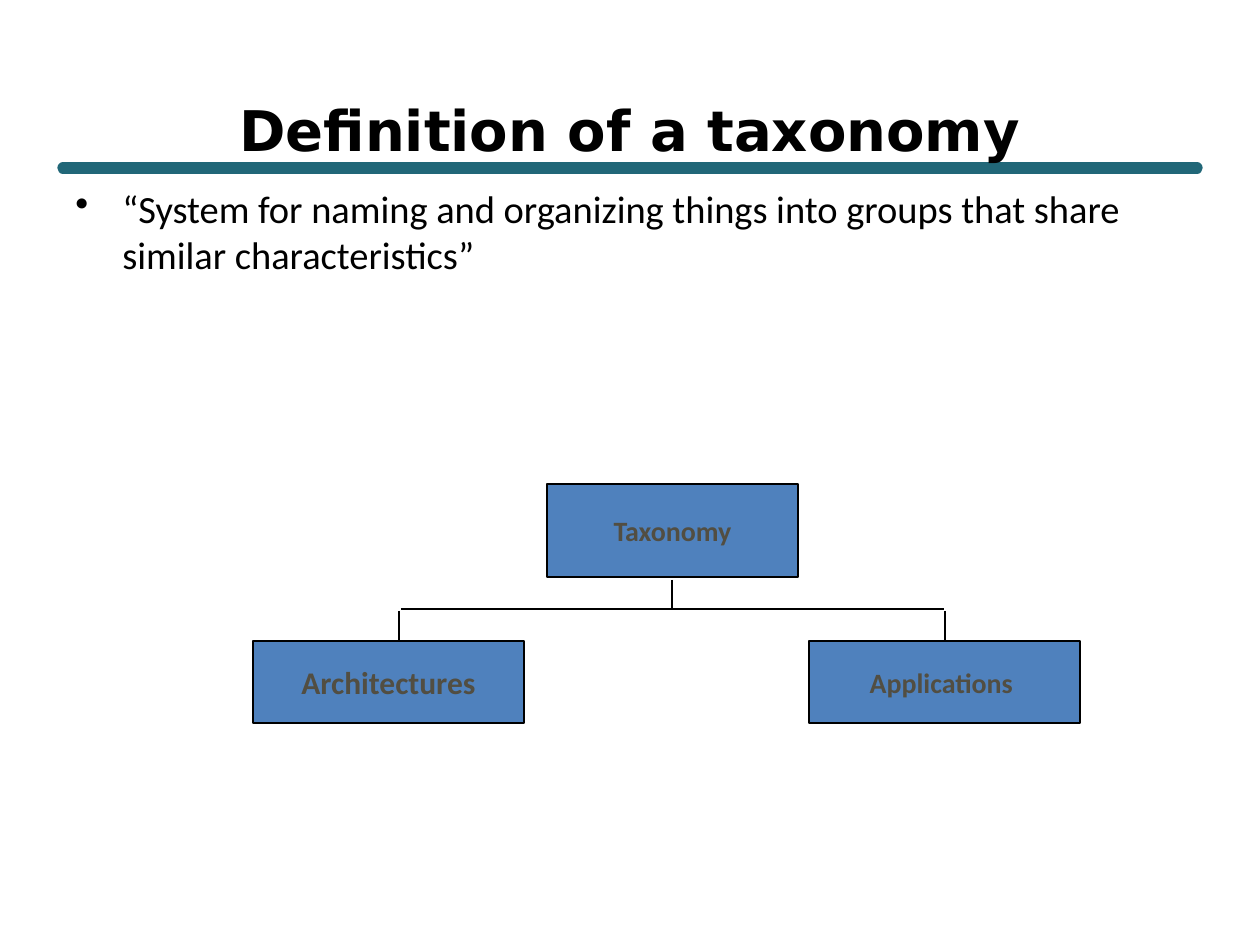
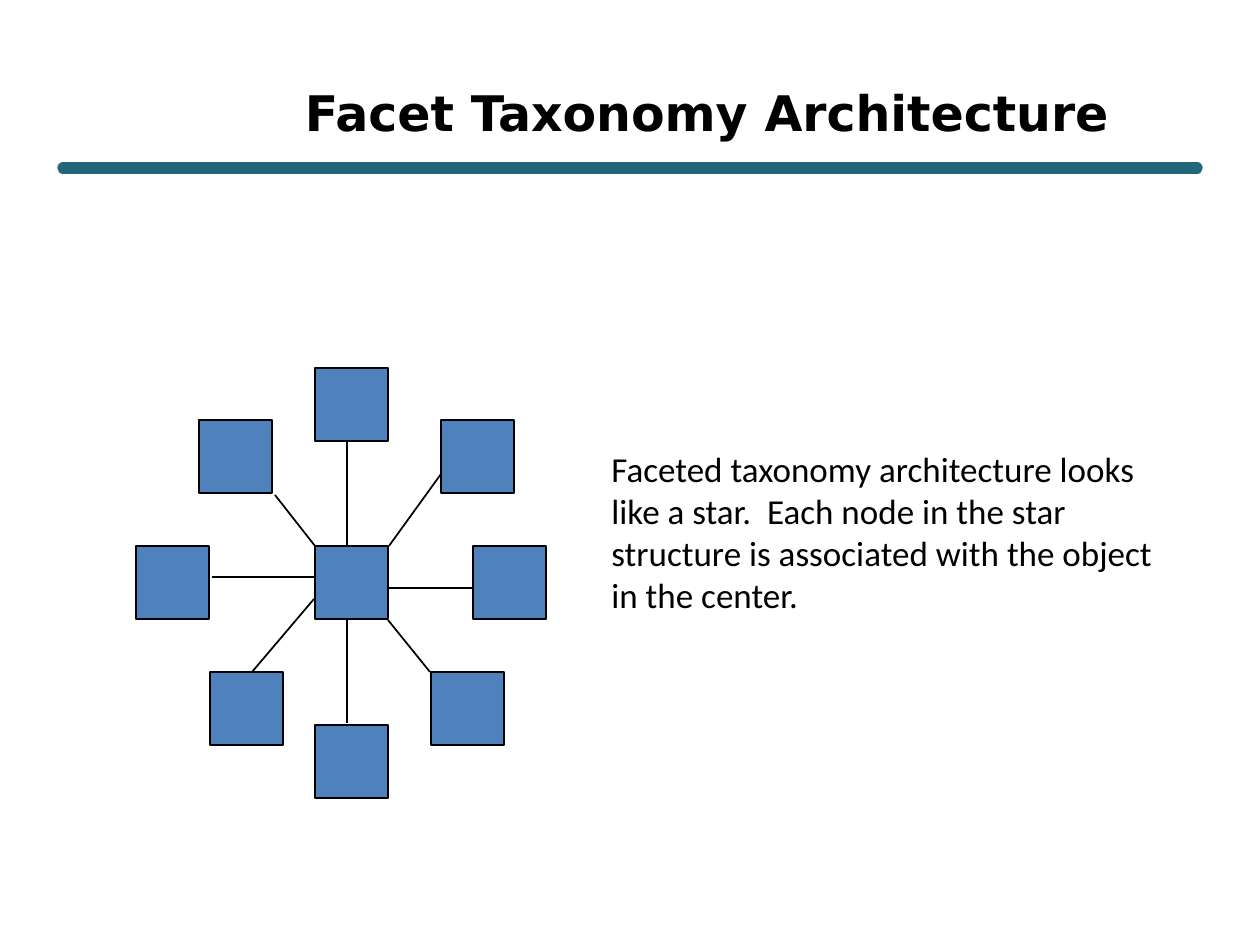
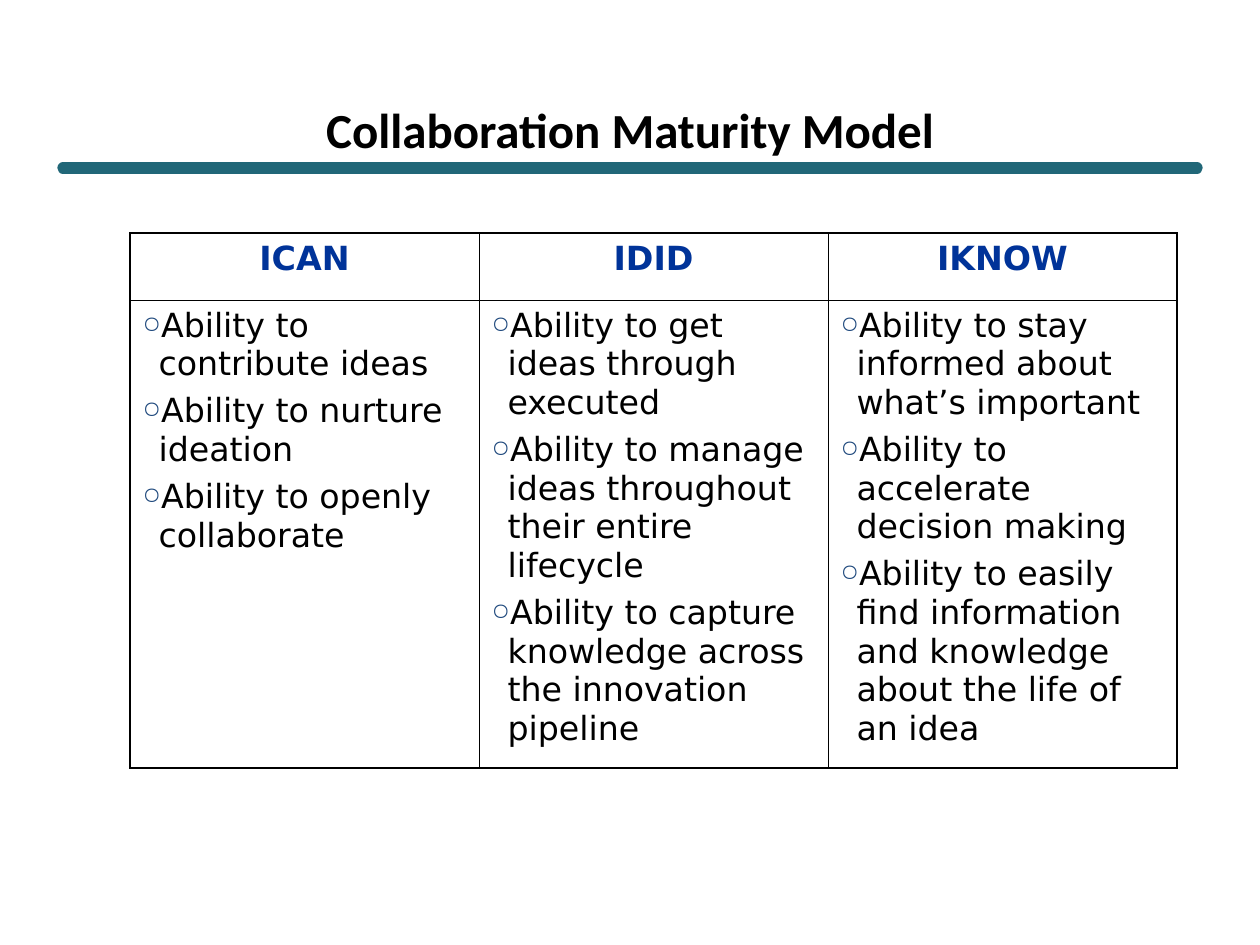
from dataclasses import dataclass
from typing import NamedTuple

from lxml.etree import SubElement
from pptx import Presentation
from pptx.dml.color import RGBColor
from pptx.enum.shapes import MSO_CONNECTOR as Conn, MSO_SHAPE as Shape
from pptx.enum.text import MSO_ANCHOR as Anchor, PP_ALIGN as Align
from pptx.oxml.ns import qn
from pptx.util import Emu, Pt

# Shared look
EMU_PER_PX = 914400 / 126
WIDTH, HEIGHT = 1260, 945
SANS, BODY = "DejaVu Sans", "Calibri"
BLACK, RULE, BOX_FILL, BOX_TEXT = "000000", "216778", "4F81BD", "524E42"
HEADING, RING = "003399", "1F497D"
THICK, THIN = 1.08, 0.45


class Rect(NamedTuple):
    x: int
    y: int
    w: int
    h: int


class Link(NamedTuple):
    x1: int
    y1: int
    x2: int
    y2: int


@dataclass
class Style:
    size: float
    font: str = BODY
    color: str = BLACK
    bold: bool = False
    align: Align = Align.LEFT


@dataclass
class Bullet:
    char: str
    color: str
    indent: int
    percent: int = 100


@dataclass
class TreeBox:
    label: str
    rect: Rect
    size: int


@dataclass
class StarNode:
    x: int
    y: int
    link: Link


@dataclass
class Column:
    heading: str
    items: list[str]


def px(n: float) -> Emu:
    return Emu(round(n * EMU_PER_PX))


def rgb(color: str) -> RGBColor:
    return RGBColor.from_string(color)


# Text
def add_bullet(p, bullet: Bullet) -> None:
    pPr = p._p.get_or_add_pPr()
    pPr.set("marL", str(px(bullet.indent)))
    pPr.set("indent", str(-px(bullet.indent)))
    SubElement(SubElement(pPr, qn("a:buClr")), qn("a:srgbClr"), val=bullet.color)
    SubElement(pPr, qn("a:buSzPct"), val=str(bullet.percent * 1000))
    SubElement(pPr, qn("a:buChar"), char=bullet.char)


def write(tf, text: str, style: Style, bullet: Bullet | None = None, gap: float = 0) -> None:
    tf.text = text
    for i, p in enumerate(tf.paragraphs):
        if bullet:
            add_bullet(p, bullet)
        p.alignment = style.align
        if i and gap:
            p.space_before = Pt(gap)
        for r in p.runs:
            r.font.name, r.font.size, r.font.bold = style.font, Pt(style.size), style.bold
            r.font.color.rgb = rgb(style.color)


def add_text(s, rect: Rect, text: str, style: Style, bullet: Bullet | None = None,
             anchor: Anchor = Anchor.TOP) -> None:
    tf = s.shapes.add_textbox(*map(px, rect)).text_frame
    tf.word_wrap = True
    tf.vertical_anchor = anchor
    write(tf, text, style, bullet)


# Shapes
def add_line(s, link: Link, color: str = BLACK, width: float = 1, cap: str = "flat") -> None:
    line = s.shapes.add_connector(Conn.STRAIGHT, *map(px, link))
    line.line.color.rgb = rgb(color)
    line.line.width = Pt(width)
    spPr = line._element.spPr
    spPr.find(qn("a:ln")).set("cap", cap)
    SubElement(spPr, qn("a:effectLst"))


def add_box(s, rect: Rect, label: str = "", size: int = 16) -> None:
    sp = s.shapes.add_shape(Shape.RECTANGLE, *map(px, rect))
    sp.shadow.inherit = False
    sp.fill.solid()
    sp.fill.fore_color.rgb = rgb(BOX_FILL)
    sp.line.color.rgb = rgb(BLACK)
    sp.line.width = Pt(1)
    if label:
        tf = sp.text_frame
        tf.word_wrap = False
        tf.vertical_anchor = Anchor.MIDDLE
        write(tf, label, Style(size, color=BOX_TEXT, bold=True, align=Align.CENTER))


def set_borders(cell, widths: dict[str, float]) -> None:
    tcPr = cell._tc.get_or_add_tcPr()
    for side in "LRTB":
        ln = SubElement(tcPr, qn(f"a:ln{side}"), w=str(Pt(widths[side])))
        SubElement(SubElement(ln, qn("a:solidFill")), qn("a:srgbClr"), val=BLACK)
    cell.fill.background()


def new_slide(prs, title: str, rect: Rect, size: int, font: str = SANS):
    s = prs.slides.add_slide(prs.slide_layouts[6])
    add_line(s, Link(63, 168, 1197, 168), RULE, 6.5, "rnd")
    add_text(s, rect, title, Style(size, font, bold=True, align=Align.CENTER),
             anchor=Anchor.MIDDLE)
    return s


# Slide contents
TITLE = Rect(63, 105, 1134, 48)
DEFINITION = ("“System for naming and organizing things into groups "
              "that share similar characteristics”")
TREE = [
    TreeBox("Taxonomy", Rect(547, 484, 251, 93), 16),
    TreeBox("Architectures", Rect(253, 641, 271, 82), 18),
    TreeBox("Applications ", Rect(809, 641, 271, 82), 16),
]
TREE_LINKS = [
    Link(672, 580, 672, 609),
    Link(401, 609, 944, 609),
    Link(399, 611, 399, 640),
    Link(945, 611, 945, 640),
]

NODE = 73
CENTER = (315, 546)
STAR = [
    StarNode(315, 368, Link(347, 442, 347, 546)),
    StarNode(441, 420, Link(441, 474, 389, 546)),
    StarNode(473, 546, Link(473, 588, 389, 588)),
    StarNode(431, 672, Link(430, 672, 388, 620)),
    StarNode(315, 725, Link(347, 723, 347, 620)),
    StarNode(210, 672, Link(252, 672, 314, 599)),
    StarNode(136, 546, Link(212, 577, 315, 577)),
    StarNode(199, 420, Link(275, 495, 315, 546)),
]
STAR_NOTE = ("Faceted taxonomy architecture looks like a star.  Each node in the star "
             "structure is associated with the object in the center.")

COLUMNS = [
    Column("ICAN", ["Ability to contribute ideas",
                    "Ability to nurture ideation",
                    "Ability to openly collaborate"]),
    Column("IDID", ["Ability to get ideas through executed",
                    "Ability to manage ideas throughout their entire lifecycle",
                    "Ability to capture knowledge across the innovation pipeline"]),
    Column("IKNOW", ["Ability to stay informed about what’s important",
                     "Ability to accelerate decision making",
                     "Ability to easily find information and knowledge about the life of an idea"]),
]
COLUMN_WIDTH, ROW_HEIGHTS = 349, (67, 467)


def definition_slide(prs) -> None:
    s = new_slide(prs, "Definition of a taxonomy", TITLE, 32)
    add_text(s, Rect(63, 179, 1134, 665), DEFINITION, Style(22), Bullet("•", BLACK, 47))
    for box in TREE:
        add_box(s, box.rect, box.label, box.size)
    for link in TREE_LINKS:
        add_line(s, link)


def star_slide(prs) -> None:
    s = new_slide(prs, "Facet Taxonomy Architecture", Rect(226, 68, 961, 87), 28)
    add_box(s, Rect(*CENTER, NODE, NODE))
    for node in STAR:
        add_box(s, Rect(node.x, node.y, NODE, NODE))
        add_line(s, node.link)
    add_text(s, Rect(599, 441, 599, 180), STAR_NOTE, Style(20))


def maturity_slide(prs) -> None:
    s = new_slide(prs, "Collaboration Maturity Model", TITLE, 28, BODY)
    frame = Rect(130, 233, COLUMN_WIDTH * len(COLUMNS), sum(ROW_HEIGHTS))
    table = s.shapes.add_table(2, len(COLUMNS), *map(px, frame)).table
    table.first_row = table.horz_banding = False
    for row, height in zip(table.rows, ROW_HEIGHTS):
        row.height = px(height)
    heading = Style(19, SANS, HEADING, True, Align.CENTER)
    ring = Bullet("○", RING, 16, 70)
    last = len(COLUMNS) - 1
    for c, column in enumerate(COLUMNS):
        table.columns[c].width = px(COLUMN_WIDTH)
        head, body = table.cell(0, c), table.cell(1, c)
        write(head.text_frame, column.heading, heading)
        write(body.text_frame, "\n".join(column.items), Style(19, SANS), ring, 4.8)
        sides = {"L": THIN if c else THICK, "R": THICK if c == last else THIN}
        set_borders(head, sides | {"T": THICK, "B": THIN})
        set_borders(body, sides | {"T": THIN, "B": THICK})


def main() -> None:
    prs = Presentation()
    prs.slide_width, prs.slide_height = px(WIDTH), px(HEIGHT)
    definition_slide(prs)
    star_slide(prs)
    maturity_slide(prs)
    prs.save("out.pptx")


if __name__ == "__main__":
    main()
